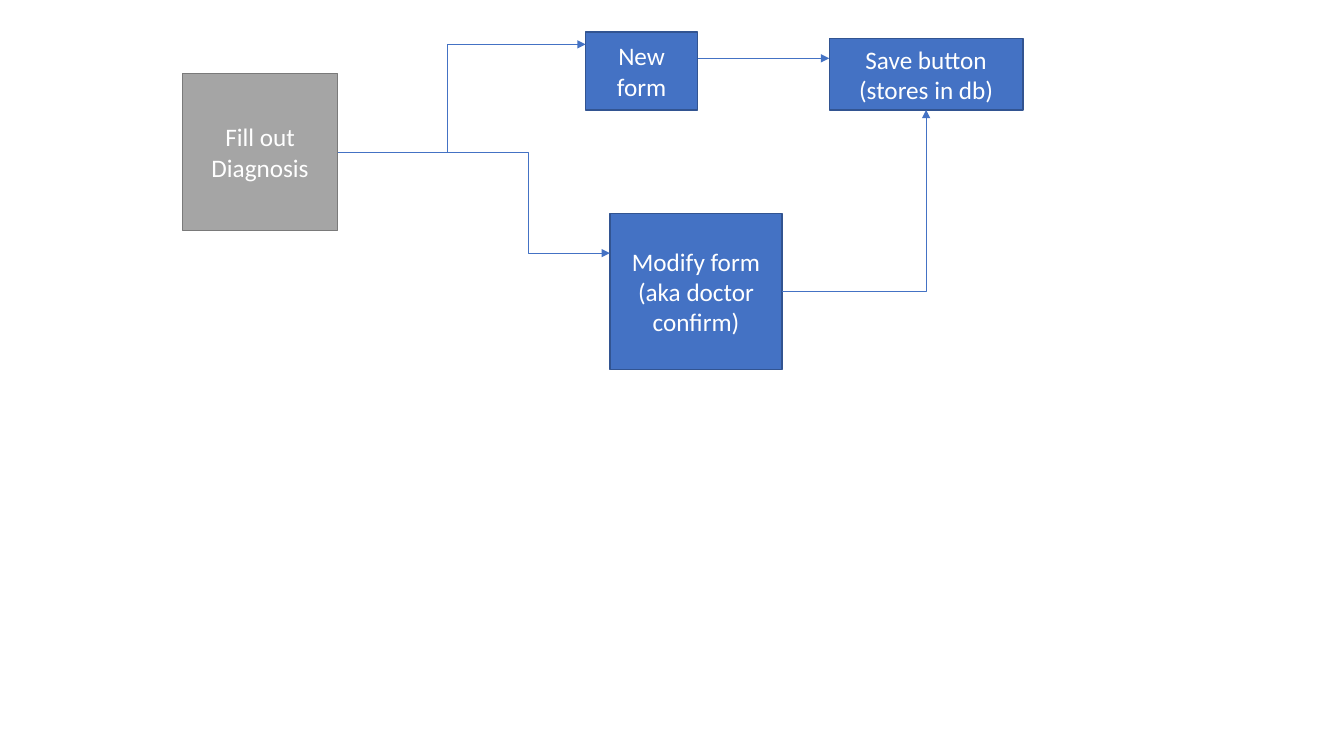
from dataclasses import dataclass

from lxml.etree import SubElement
from pptx import Presentation
from pptx.dml.color import RGBColor
from pptx.enum.shapes import MSO_CONNECTOR as Route, MSO_SHAPE as Preset
from pptx.enum.text import MSO_ANCHOR as Anchor, PP_ALIGN as Align
from pptx.oxml.ns import qn
from pptx.util import Cm, Pt

WHITE = RGBColor(0xFF, 0xFF, 0xFF)
GRAY = RGBColor(0xA5, 0xA5, 0xA5)
GRAY_EDGE = RGBColor(0x7A, 0x7A, 0x7A)
BLUE = RGBColor(0x44, 0x72, 0xC4)
BLUE_EDGE = RGBColor(0x32, 0x54, 0x91)


@dataclass
class Box:
    left: float
    top: float
    width: float
    height: float

    @property
    def right(self):
        return self.left + self.width

    @property
    def bottom(self):
        return self.top + self.height

    @property
    def center(self):
        return self.left + self.width / 2

    @property
    def middle(self):
        return self.top + self.height / 2

    def inner(self, left, top, width, height):
        return Box(self.left + left, self.top + top, width, height)


def add_step(slide, box, lines, fill=BLUE, edge=BLUE_EDGE):
    step = slide.shapes.add_shape(
        Preset.RECTANGLE, Cm(box.left), Cm(box.top), Cm(box.width), Cm(box.height))
    step.shadow.inherit = False
    step.fill.solid()
    step.fill.fore_color.rgb = fill
    step.line.color.rgb = edge
    step.line.width = Pt(1)
    frame = step.text_frame
    frame.word_wrap = True
    frame.vertical_anchor = Anchor.MIDDLE
    for index, line in enumerate(lines):
        paragraph = frame.add_paragraph() if index else frame.paragraphs[0]
        paragraph.alignment = Align.CENTER
        run = paragraph.add_run()
        run.text = line
        run.font.name = "Calibri"
        run.font.size = Pt(18)
        run.font.color.rgb = WHITE


def add_arrow(slide, start, end, route=Route.ELBOW, bend_x=None, single_bend=False):
    arrow = slide.shapes.add_connector(route, *map(Cm, start + end))
    arrow.line.color.rgb = BLUE
    arrow.line.width = Pt(0.5)
    properties = arrow._element.spPr
    SubElement(properties.find(qn("a:ln")), qn("a:tailEnd"), type="triangle")
    SubElement(properties, qn("a:effectLst"))
    geometry = properties.find(qn("a:prstGeom"))
    if single_bend:
        geometry.set("prst", "bentConnector2")
    if bend_x is not None:
        share = round(100000 * (bend_x - start[0]) / (end[0] - start[0]))
        SubElement(geometry.find(qn("a:avLst")), qn("a:gd"),
                   name="adj1", fmla=f"val {share}")


def add_diagnosis_flow(slide, box):
    diagnosis = box.inner(0, 1.04, 3.91, 3.96)
    save = box.inner(16.3, 0.16, 4.88, 1.8)
    new_form = box.inner(10.16, 0, 2.82, 1.96)
    modify = box.inner(10.77, 4.57, 4.34, 3.94)

    add_step(slide, diagnosis, ["Fill out Diagnosis"], GRAY, GRAY_EDGE)
    add_step(slide, save, ["Save button", "(stores in db)"])
    add_step(slide, new_form, ["New form"])
    add_step(slide, modify, ["Modify form", "(aka doctor confirm)"])

    fork = (diagnosis.right + 2.76, diagnosis.middle)
    save_entry = new_form.top + 0.66
    add_arrow(slide, (diagnosis.right, diagnosis.middle),
              (new_form.left, new_form.top + 0.31), bend_x=fork[0])
    add_arrow(slide, (new_form.right, save_entry), (save.left, save_entry), Route.STRAIGHT)
    add_arrow(slide, fork, (modify.left, modify.top + 1))
    add_arrow(slide, (modify.right, modify.middle), (save.center, save.bottom),
              single_bend=True)


presentation = Presentation()
presentation.slide_width = Cm(33.87)
presentation.slide_height = Cm(19.05)
slide = presentation.slides.add_slide(presentation.slide_layouts[6])
add_diagnosis_flow(slide, Box(4.6, 0.81, 21.18, 8.51))
presentation.save("out.pptx")
